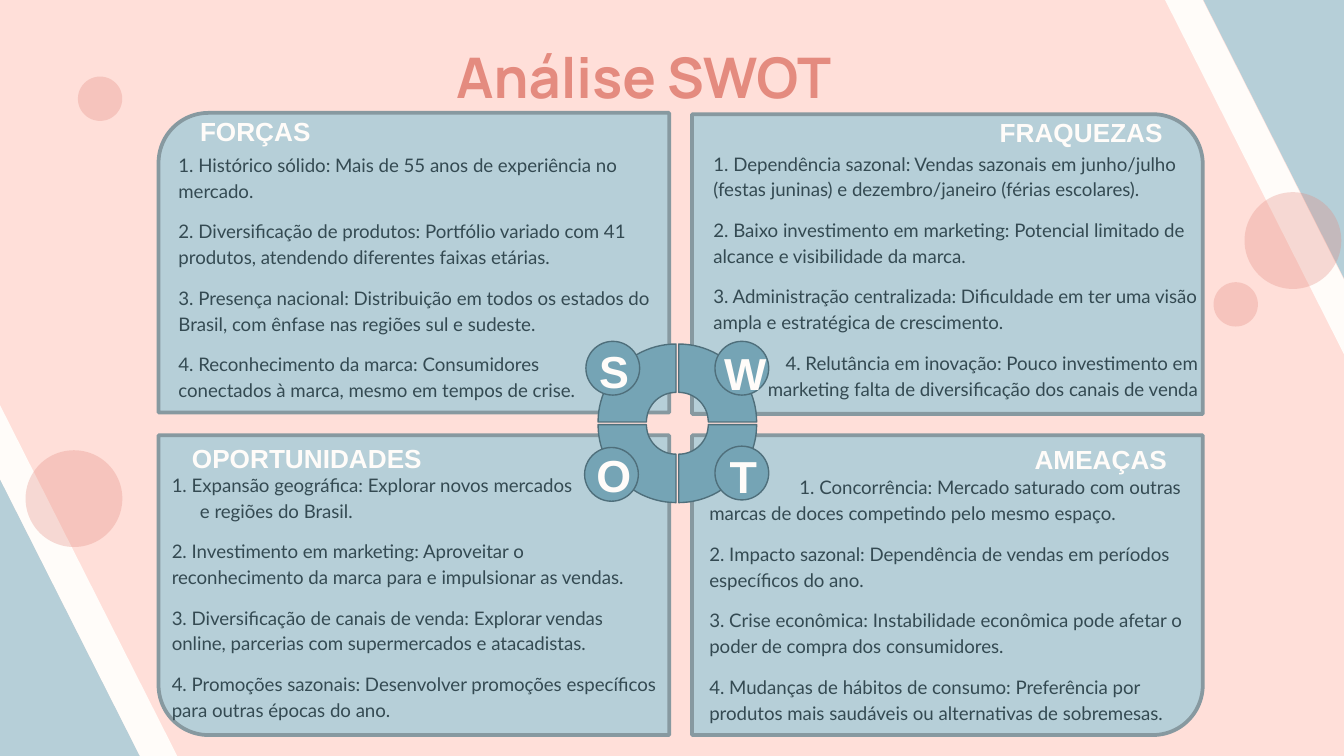
from math import cos, pi, sin

from lxml.etree import SubElement
from pptx import Presentation
from pptx.dml.color import RGBColor
from pptx.enum.shapes import MSO_SHAPE as Kind
from pptx.enum.text import PP_ALIGN as Align
from pptx.oxml.ns import qn
from pptx.util import Inches, Pt

ROSE, CREAM, SKY, TEAL = "E48B7F", "FFFCF9", "B6CFD8", "75A4B5"
RIM, EDGE, INK = "4F6F7B", "8799A0", "344A52"

BANDS = [
    (9.31, -0.44, 0.25, 333.2, CREAM),
    (9.49, -0.75, 1.1, 333.2, SKY),
    (0.43, 2.71, 0.25, 153.2, CREAM),
    (-0.6, 3.01, 1.1, 153.2, SKY),
]
DOTS = [(9.26, 1.43, 0.72), (9.03, 2.1, 0.33), (0.19, 3.35, 0.72), (0.58, 0.57, 0.33)]
PANELS = [
    (5.15, 0.85, ()),
    (1.18, 3.24, ("flipH", "flipV")),
    (5.15, 3.24, ("flipV",)),
    (1.18, 0.84, ("flipH",)),
]
KNOBS = [(4.36, 2.54), (5.32, 2.54), (5.32, 3.32), (4.35, 3.33)]
MARKS = [
    ("S", 4.36, 2.51, 0.43),
    ("W", 5.29, 2.52, 0.52),
    ("O", 4.34, 3.28, 0.46),
    ("T", 5.33, 3.29, 0.41),
]
HEADS = [
    ("FORÇAS", 1.39, 0.81, 1.03),
    ("OPORTUNIDADES", 1.33, 3.24, 1.93),
    ("FRAQUEZAS", 7.34, 0.82, 1.42),
    ("AMEAÇAS", 7.6, 3.25, 1.2),
]
FORCES = [
    "1. Histórico sólido: Mais de 55 anos de experiência no mercado.",
    "2. Diversificação de produtos: Portfólio variado com 41 produtos, atendendo diferentes faixas etárias.",
    "3. Presença nacional: Distribuição em todos os estados do Brasil, com ênfase nas regiões sul e sudeste.",
    "4. Reconhecimento da marca: Consumidores\vconectados à marca, mesmo em tempos de crise.",
]
FLAWS = [
    "1. Dependência sazonal: Vendas sazonais em junho/julho (festas juninas) e dezembro/janeiro (férias escolares).",
    "2. Baixo investimento em marketing: Potencial limitado de alcance e visibilidade da marca.",
    "3. Administração centralizada: Dificuldade em ter uma visão ampla e estratégica de crescimento.",
    "4. Relutância em inovação: Pouco investimento em\vmarketing falta de diversificação dos canais de venda",
]
CHANCES = [
    "1. Expansão geográfica: Explorar novos mercados\ve regiões do Brasil.",
    "2. Investimento em marketing: Aproveitar o reconhecimento da marca para e impulsionar as vendas.",
    "3. Diversificação de canais de venda: Explorar vendas online, parcerias com supermercados e atacadistas.",
    "4. Promoções sazonais: Desenvolver promoções específicos para outras épocas do ano.",
]
THREATS = [
    "1. Concorrência: Mercado saturado com outras marcas de doces competindo pelo mesmo espaço.",
    "2. Impacto sazonal: Dependência de vendas em períodos específicos do ano.",
    "3. Crise econômica: Instabilidade econômica pode afetar o poder de compra dos consumidores.",
    "4. Mudanças de hábitos de consumo: Preferência por produtos mais saudáveis ou alternativas de sobremesas.",
]


def tint(code):
    """Turn a hex string into a colour."""
    return RGBColor.from_string(code)


def paint(shape, fill, line=None, width=0.75):
    """Set the fill and outline of a shape and drop its shadow."""
    shape.shadow.inherit = False
    shape.fill.solid()
    shape.fill.fore_color.rgb = tint(fill)
    if line:
        shape.line.color.rgb = tint(line)
        shape.line.width = Pt(width)
    else:
        shape.line.fill.background()


def add_form(slide, kind, box, fill, line=None, width=0.75):
    """Add a painted preset shape."""
    shape = slide.shapes.add_shape(kind, *map(Inches, box))
    paint(shape, fill, line, width)
    return shape


def add_dot(slide, left, top, size):
    """Add a see-through rose circle."""
    dot = add_form(slide, Kind.OVAL, (left, top, size, size), ROSE)
    color = dot._element.spPr.find(qn("a:solidFill"))[0]
    SubElement(color, qn("a:alpha"), val="31000")


def add_panel(slide, left, top, flips):
    """Add a quadrant panel with its round corner turned outward."""
    box = (left, top, 3.8, 2.23)
    panel = add_form(slide, Kind.ROUND_1_RECTANGLE, box, SKY, EDGE, 2)
    for flip in flips:
        panel._element.spPr.get_or_add_xfrm().set(flip, "1")


def add_wedge(slide, side, rise):
    """Add a quarter of the central ring."""
    left, top = 5.04 + side * 0.01, 3.15 + rise * 0.01
    turns = [step * pi / 48 for step in range(25)]
    rim = [(0.58, turn) for turn in turns]
    hole = [(0.22, turn) for turn in reversed(turns)]
    points = [
        (Inches(left + side * size * cos(turn)), Inches(top + rise * size * sin(turn)))
        for size, turn in rim + hole
    ]
    build = slide.shapes.build_freeform(*points[0])
    build.add_line_segments(points[1:], close=True)
    paint(build.convert_to_shape(), TEAL, RIM)


def style(para, font, size, color, bold=False):
    """Format every run of a paragraph."""
    for run in para.runs:
        run.font.name = font
        run.font.size = Pt(size)
        run.font.bold = bold
        run.font.color.rgb = tint(color)


def add_label(slide, text, box, font, size, color, wrap=False):
    """Add a bold one-line text box."""
    frame = slide.shapes.add_textbox(*map(Inches, box)).text_frame
    frame.word_wrap = wrap
    frame.text = text
    style(frame.paragraphs[0], font, size, color, True)
    return frame


def add_list(slide, lines, box, margin=0, indent=0):
    """Add a list of points, with an indent for the first one."""
    frame = slide.shapes.add_textbox(*map(Inches, box)).text_frame
    frame.word_wrap = True
    for place, line in enumerate(lines):
        para = frame.add_paragraph() if place else frame.paragraphs[0]
        para.text = line
        para.line_spacing = 1.15
        para.space_after = Pt(8)
        style(para, "Lato", 10, INK)
    props = frame.paragraphs[0]._p.get_or_add_pPr()
    props.set("marL", str(Inches(margin)))
    props.set("indent", str(Inches(indent)))
    return frame


def main():
    """Build the slide and save it."""
    deck = Presentation()
    deck.slide_width = Inches(10)
    deck.slide_height = Inches(10) * 9 // 16
    slide = deck.slides.add_slide(deck.slide_layouts[6])
    slide.background.fill.solid()
    slide.background.fill.fore_color.rgb = tint("FFDFD9")

    for left, top, width, turn, fill in BANDS:
        band = add_form(slide, Kind.RECTANGLE, (left, top, width, 3.36), fill)
        band.rotation = turn
    for dot in DOTS:
        add_dot(slide, *dot)

    title = add_label(slide, "Análise SWOT", (0.57, 0.22, 8.44, 0.63), "Manrope", 30, ROSE, True)
    title.margin_top = title.margin_bottom = Inches(0.1)
    title.paragraphs[0].alignment = Align.CENTER

    for panel in PANELS:
        add_panel(slide, *panel)
    for side in (-1, 1):
        for rise in (-1, 1):
            add_wedge(slide, side, rise)
    for left, top in KNOBS:
        add_form(slide, Kind.OVAL, (left, top, 0.4, 0.4), TEAL, RIM)
    for text, left, top, width in MARKS:
        add_label(slide, text, (left, top, width, 0.5), "Arial", 24, CREAM)
    for text, left, top, width in HEADS:
        add_label(slide, text, (left, top, width, 0.34), "Arial", 14, CREAM)

    add_list(slide, FORCES, (1.23, 1.07, 3.74, 2.28))
    flaws = add_list(slide, FLAWS, (5.21, 1.06, 3.8, 1.98))
    flaws.paragraphs[-1].alignment = Align.RIGHT
    add_list(slide, CHANCES, (1.18, 3.45, 3.8, 2.33), 0.21, -0.21)
    add_list(slide, THREATS, (5.18, 3.47, 3.8, 2.33), 0, 0.67)
    deck.save("out.pptx")


if __name__ == "__main__":
    main()
